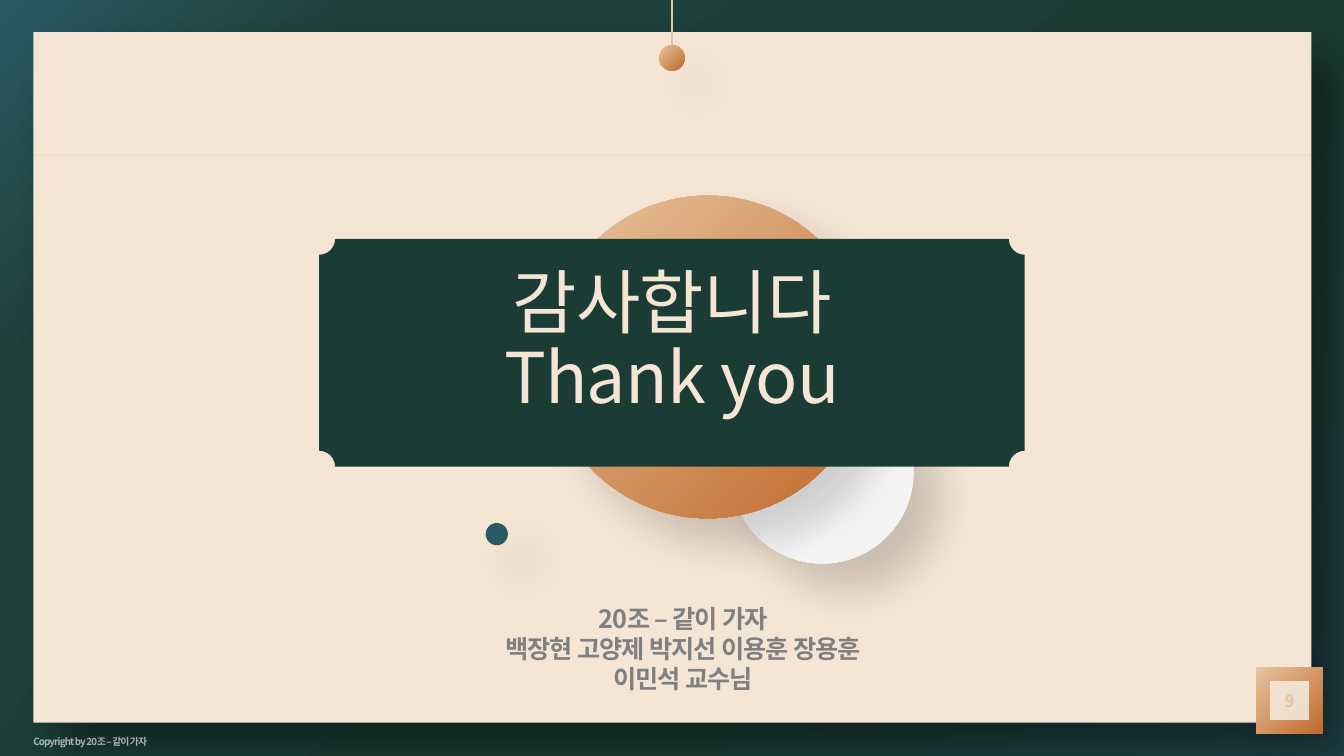
from pptx import Presentation
from pptx.dml.color import RGBColor
from pptx.enum.shapes import MSO_CONNECTOR as LINE, MSO_SHAPE as SHAPE
from pptx.enum.text import MSO_ANCHOR as ANCHOR, PP_ALIGN as ALIGN
from pptx.oxml import parse_xml
from pptx.oxml.ns import nsdecls
from pptx.util import Cm, Pt
from lxml.etree import SubElement

# Content
TITLE = ["감사합니다", "Thank you"]
TEAM = ["20조 – 같이 가자", "백장현 고양제 박지선 이용훈 장용훈", "이민석 교수님"]
COPYRIGHT = ["Copyright by 20조 – 같이 가자"]
PAGE = ["9"]

THEME = {
    "font": "Noto Sans CJK KR",
    "cream": "F4E5D4", "green": "1B3C35", "blue": "2A5963",
    "gray": "808080", "white": "FFFFFF", "gold": "E7C49D",
    "cord": "E4C2A9", "rule": "E3AB83",
    "copper": ("E7C49D", "C16A2C"), "pearl": ("FFFFFF", "F2F2F2"),
    "backdrop": [(0, "1F4148"), (33, "1B3C33"), (82, "1D403A"), (100, "2A5963")],
    "title": 50, "team": 18, "page": 12, "small": 7, "spacing": -0.6,
}

# Layout, in centimetres
WIDTH, HEIGHT = 33.87, 19.05
CENTER = WIDTH / 2
PANEL = (0.84, 0.81, 32.21, 17.4)
RULE_Y = 3.91
BEAD, BEAD_TOP = 0.64, 1.14
PLAQUE_W, PLAQUE_H, PLAQUE_TOP = 17.78, 5.74, 6.02
BADGE = (31.66, 16.81, 1.68, 1.68)

prs = Presentation()
prs.slide_width, prs.slide_height = Cm(WIDTH), Cm(HEIGHT)
slide = prs.slides.add_slide(prs.slide_layouts[6])


def add_alpha(fill, percent):
    color = fill._xPr.find(".//{*}solidFill/{*}srgbClr")
    SubElement(color, color.tag.replace("srgbClr", "alpha"), val=str(percent * 1000))


def add_shape(kind, box, fill, shadow=None, adjust=None):
    s = slide.shapes.add_shape(kind, *map(Cm, box))
    s.shadow.inherit = False
    s.line.fill.background()
    if isinstance(fill, tuple):
        s.fill.gradient()
        s.fill.gradient_angle = 315
        for stop, color in zip(s.fill.gradient_stops, fill):
            stop.color.rgb = RGBColor.from_string(color)
    else:
        s.fill.solid()
        s.fill.fore_color.rgb = RGBColor.from_string(fill)
    if adjust is not None:
        s.adjustments[0] = adjust
    if shadow:
        s._element.spPr.find("{*}effectLst").append(parse_xml(
            f'<a:outerShdw {nsdecls("a")} blurRad="{Pt(30)}" dist="{Pt(26)}" '
            f'dir="2700000" algn="tl" rotWithShape="0"><a:srgbClr val="000000">'
            f'<a:alpha val="{shadow * 1000}"/></a:srgbClr></a:outerShdw>'))
    return s


def add_line(x1, y1, x2, y2, color, width, alpha=None):
    c = slide.shapes.add_connector(LINE.STRAIGHT, Cm(x1), Cm(y1), Cm(x2), Cm(y2))
    c.line.color.rgb = RGBColor.from_string(color)
    c.line.width = Pt(width)
    if alpha:
        add_alpha(c.line.fill, alpha)
    c._element.spPr.append(parse_xml(f'<a:effectLst {nsdecls("a")}/>'))


def add_text(s, lines, *, size, color, align=ALIGN.CENTER, bold=False,
             leading=1.0, insets=(0, 0, 0, 0), alpha=None):
    tf = s.text_frame
    tf.word_wrap = True
    tf.vertical_anchor = ANCHOR.MIDDLE
    tf.margin_left, tf.margin_top, tf.margin_right, tf.margin_bottom = map(Cm, insets)
    for i, line in enumerate(lines):
        p = tf.add_paragraph() if i else tf.paragraphs[0]
        p.alignment, p.line_spacing = align, leading
        r = p.add_run()
        r.text = line
        r.font.name, r.font.size, r.font.bold = THEME["font"], Pt(size), bold
        r.font.color.rgb = RGBColor.from_string(color)
        if alpha:
            add_alpha(r.font.fill, alpha)
        rPr = r._r.get_or_add_rPr()
        rPr.set("spc", str(int(THEME["spacing"] * 100)))
        rPr.find("{*}latin").addnext(
            parse_xml(f'<a:ea {nsdecls("a")} typeface="{THEME["font"]}"/>'))


def add_box(box):
    return slide.shapes.add_textbox(*map(Cm, box))


# Backdrop: radial gradient centred on the bottom right corner
slide.background.fill.gradient()
grad = slide.background._cSld.find(".//{*}gradFill")
stops = "".join(f'<a:gs pos="{pos * 1000}"><a:srgbClr val="{color}"/></a:gs>'
                for pos, color in THEME["backdrop"])
grad.getparent().replace(grad, parse_xml(
    f'<a:gradFill {nsdecls("a")} rotWithShape="1"><a:gsLst>{stops}</a:gsLst>'
    '<a:path path="circle"><a:fillToRect l="100000" t="100000"/></a:path></a:gradFill>'))

# Panel with its rule, page badge and hanging bead
left, top, width, height = PANEL
add_shape(SHAPE.RECTANGLE, PANEL, THEME["cream"], shadow=40)
add_line(left, RULE_Y, left + width, RULE_Y, THEME["rule"], 0.5, alpha=24)
badge = add_shape(SHAPE.FRAME, BADGE, THEME["copper"], shadow=8, adjust=0.202)
add_text(badge, PAGE, size=THEME["page"], color=THEME["gold"], bold=True)
add_shape(SHAPE.OVAL, (CENTER - BEAD / 2, BEAD_TOP, BEAD, BEAD), THEME["copper"], shadow=8)
add_line(CENTER, BEAD_TOP, CENTER, 0, THEME["cord"], 1)

# Discs, from back to front
for x, y, size, fill in [(18.42, 9.6, 4.6, THEME["pearl"]),
                         (12.24, 13.18, 0.56, THEME["blue"]),
                         (13.77, 4.93, 8.13, THEME["copper"])]:
    add_shape(SHAPE.OVAL, (x, y, size, size), fill, shadow=17)

# Title plaque
plaque = add_shape(SHAPE.PLAQUE, (CENTER - PLAQUE_W / 2, PLAQUE_TOP, PLAQUE_W, PLAQUE_H),
                   THEME["green"], adjust=0.07)
add_text(plaque, TITLE, size=THEME["title"], color=THEME["cream"], leading=0.9,
         insets=(0.5, 0.13, 0.5, 0.6))

# Team and copyright
add_text(add_box((4.17, 14.35, 26.09, 4.04)), TEAM, size=THEME["team"],
         color=THEME["gray"], bold=True, leading=0.99)
add_text(add_box((left, 18.24, 5.97, 0.81)), COPYRIGHT, size=THEME["small"],
         color=THEME["white"], align=ALIGN.LEFT, bold=True, leading=1.2, alpha=64)

prs.save("out.pptx")
